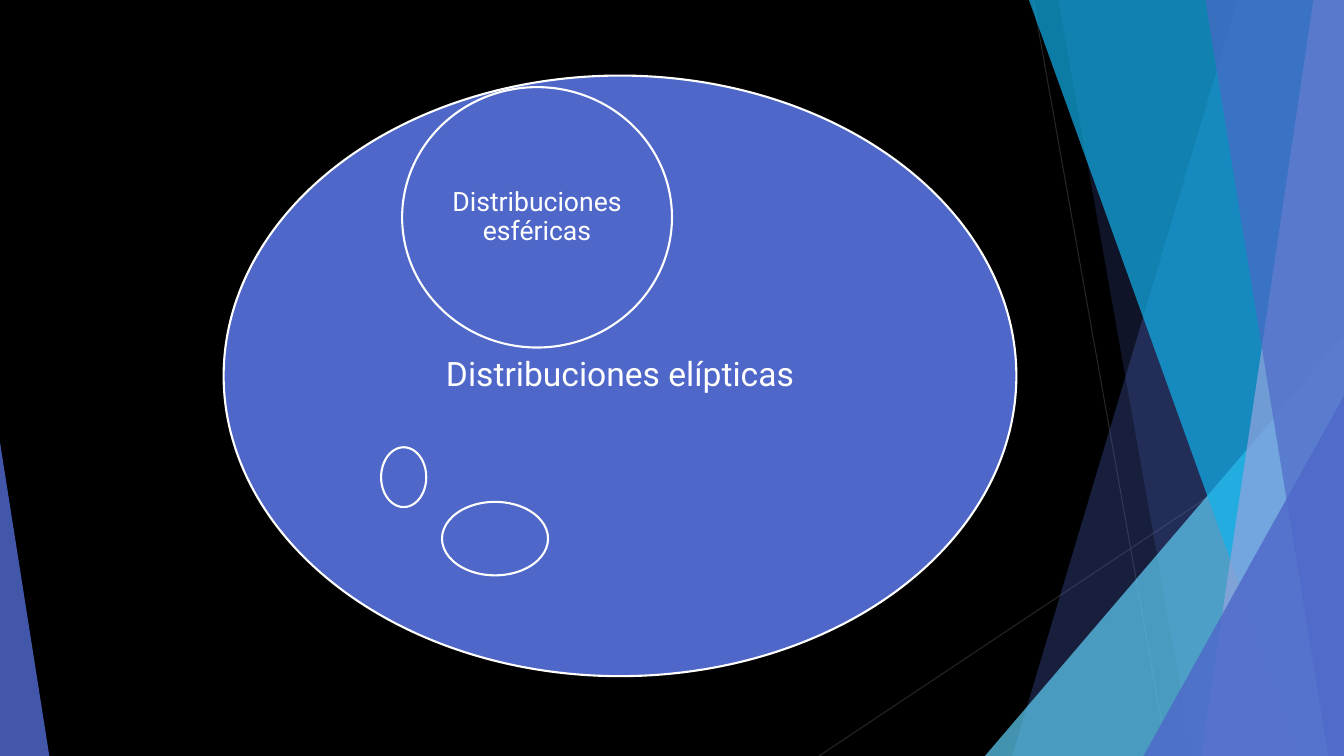
from lxml.etree import SubElement
from pptx import Presentation
from pptx.dml.color import RGBColor
from pptx.enum.shapes import MSO_CONNECTOR, MSO_SHAPE
from pptx.enum.text import MSO_ANCHOR, PP_ALIGN
from pptx.oxml.ns import qn
from pptx.util import Pt

PX = 9525
WIDTH, HEIGHT = 1280, 720
BLUE, WHITE = "4E67C8", "FFFFFF"


def paint(fill, color, opacity=100):
    fill.solid()
    fill.fore_color.rgb = RGBColor.from_string(color)
    if opacity < 100:
        clr = fill._xPr.find(qn("a:solidFill"))[0]
        SubElement(clr, qn("a:alpha")).set("val", str(opacity * 1000))


def add_line(s, x1, y1, x2, y2):
    ends = [v * PX for v in (x1, y1, x2, y2)]
    c = s.shapes.add_connector(MSO_CONNECTOR.STRAIGHT, *ends)
    paint(c.line.fill, "262626")
    c.line.width = Pt(0.75)
    SubElement(c._element.spPr, qn("a:effectLst"))


def finish_facet(sp, color, opacity):
    sp.shadow.inherit = False
    paint(sp.fill, color, opacity)
    sp.line.fill.background()


def add_band(s, top_x, bottom_x, color, opacity):
    fb = s.shapes.build_freeform(top_x, 0, scale=PX)
    fb.add_line_segments([(WIDTH, 0), (WIDTH, HEIGHT), (bottom_x, HEIGHT)])
    finish_facet(fb.convert_to_shape(), color, opacity)


def add_triangle(s, x, w, h, apex, color, opacity):
    box = [v * PX for v in (x, HEIGHT - h, w, h)]
    sp = s.shapes.add_shape(MSO_SHAPE.ISOSCELES_TRIANGLE, *box)
    sp.adjustments[0] = apex
    finish_facet(sp, color, opacity)


def add_ellipse(s, x, y, w, h, text="", size=0, inset=0):
    box = [v * PX for v in (x, y, w, h)]
    sp = s.shapes.add_shape(MSO_SHAPE.OVAL, *box)
    sp.shadow.inherit = False
    paint(sp.fill, BLUE)
    paint(sp.line.fill, WHITE)
    sp.line.width = Pt(1.5)
    if not text:
        return
    tf = sp.text_frame
    tf.text = text
    tf.word_wrap = True
    tf.vertical_anchor = MSO_ANCHOR.MIDDLE
    tf.margin_left = tf.margin_right = inset * PX
    tf.margin_top = tf.margin_bottom = inset * PX
    p = tf.paragraphs[0]
    p.alignment = PP_ALIGN.CENTER
    p.line_spacing = 0.9
    font = p.runs[0].font
    font.name = "Roboto"
    font.size = Pt(size)
    font.color.rgb = RGBColor.from_string(WHITE)


def add_backdrop(s):
    paint(s.background.fill, "000000")
    add_line(s, 984, 0, 1112, HEIGHT)
    add_line(s, WIDTH, 387, 780, HEIGHT)
    add_band(s, 1179, 964, BLUE, 30)
    add_band(s, 1008, 1136, BLUE, 20)
    add_triangle(s, 938, 342, 400, 1, "5ECCF3", 72)
    add_band(s, 980, 1239, "12B2EB", 70)
    add_band(s, 1251, 1144, "95A4DE", 70)
    add_band(s, 1148, 1265, BLUE, 65)
    add_triangle(s, 1089, 191, 343, 1, BLUE, 80)
    add_triangle(s, 0, 47, 299, 0, BLUE, 85)


def main():
    prs = Presentation()
    prs.slide_width, prs.slide_height = WIDTH * PX, HEIGHT * PX
    s = prs.slides.add_slide(prs.slide_layouts[6])
    add_backdrop(s)
    add_ellipse(s, 213, 72, 755, 572, "Distribuciones elípticas", 24, 10)
    add_ellipse(s, 383, 83, 257, 248, "Distribuciones esféricas", 19, 8)
    add_ellipse(s, 363, 426, 43, 57)
    add_ellipse(s, 421, 478, 101, 70)
    prs.save("out.pptx")


if __name__ == "__main__":
    main()
